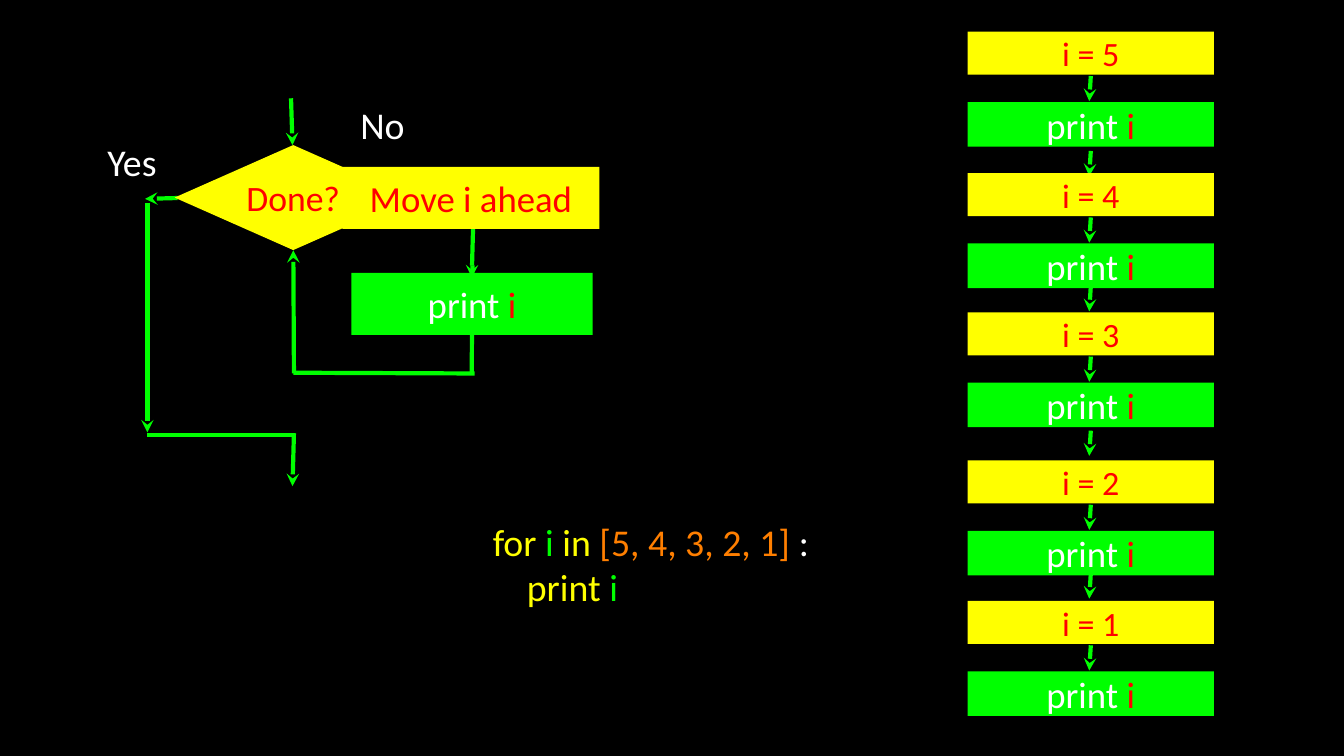
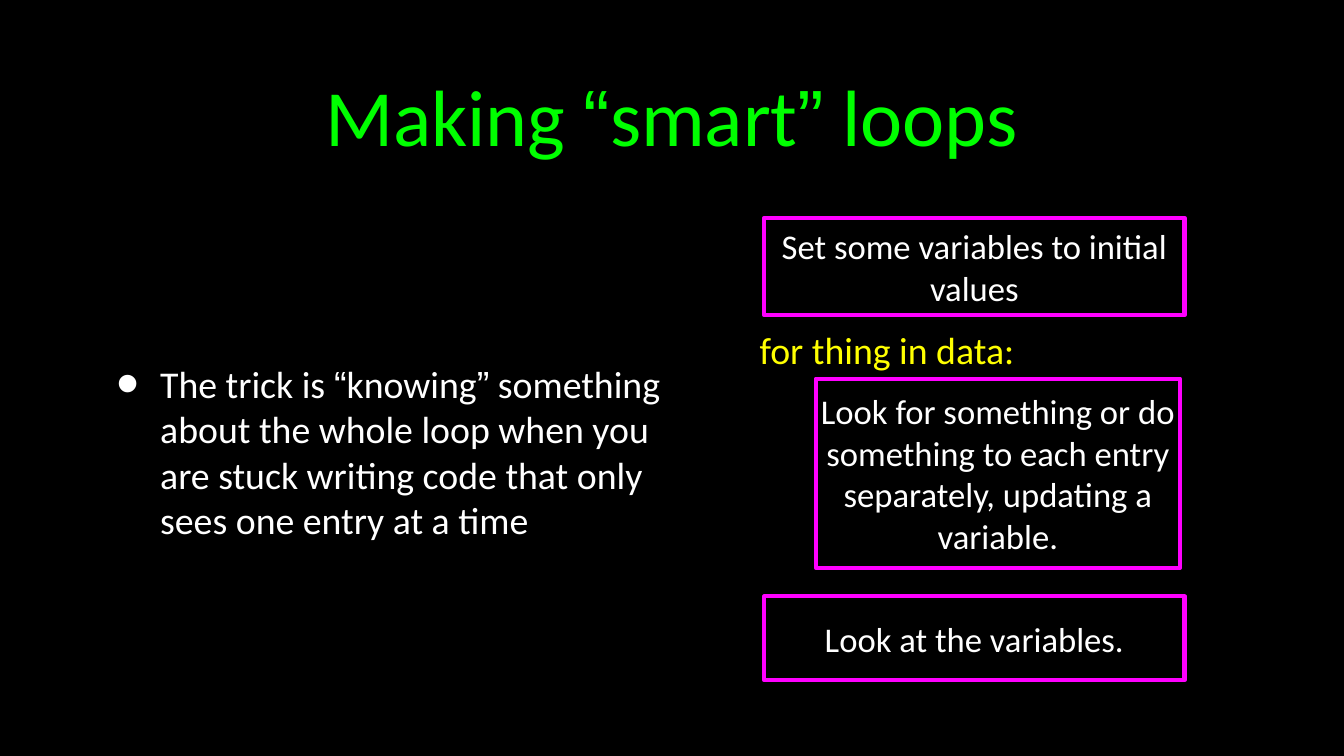
from dataclasses import dataclass

from lxml.etree import SubElement
from pptx import Presentation
from pptx.dml.color import RGBColor
from pptx.enum.shapes import MSO_CONNECTOR, MSO_SHAPE
from pptx.enum.text import MSO_ANCHOR, MSO_AUTO_SIZE, PP_ALIGN
from pptx.oxml.ns import qn
from pptx.util import Pt


@dataclass(frozen=True)
class Theme:
    # Colours
    black: str = "000000"
    white: str = "FFFFFF"
    green: str = "00FF00"
    yellow: str = "FFFF00"
    red: str = "FF0000"
    orange: str = "FF7F00"
    pink: str = "FF00FF"
    # Fonts, type sizes and line width
    font: str = "Calibri"
    quote: str = "Arial"
    title: float = 76
    text: float = 36
    step: float = 35
    done: float = 34
    note: float = 33
    count: float = 32.4
    line: float = 4


T = Theme()
PRINT = [("print ", T.white), ("i", T.red)]


def rgb(code):
    return RGBColor.from_string(code)


def add_runs(par, runs, size, align=PP_ALIGN.CENTER):
    """Each run is (words, colour) or (words, colour, font)."""
    par.alignment = align
    for words, colour, *font in runs:
        run = par.add_run()
        run.text = words
        run.font.size = Pt(size)
        run.font.name = font[0] if font else T.font
        run.font.color.rgb = rgb(colour)


def quoted(before, word, after, colour):
    return [(before, colour), ("“", colour, T.quote), (word, colour),
            ("”", colour, T.quote), (after, colour)]


def set_frame(shape, inset=0):
    frame = shape.text_frame
    frame.word_wrap = True
    frame.auto_size = MSO_AUTO_SIZE.NONE
    frame.vertical_anchor = MSO_ANCHOR.MIDDLE
    frame.margin_left = frame.margin_right = Pt(inset)
    frame.margin_top = frame.margin_bottom = Pt(inset)
    return frame


def add_box(slide, place, runs, size, fill=None, edge=None,
            kind=MSO_SHAPE.RECTANGLE):
    box = slide.shapes.add_shape(kind, *map(Pt, place))
    box.shadow.inherit = False
    if fill:
        box.fill.solid()
        box.fill.fore_color.rgb = rgb(fill)
    else:
        box.fill.background()
    if edge:
        box.line.color.rgb = rgb(edge)
        box.line.width = Pt(T.line)
    else:
        box.line.fill.background()
    add_runs(set_frame(box).paragraphs[0], runs, size)


def add_label(slide, place, *lines, align=PP_ALIGN.CENTER, inset=0):
    """Add a text box with one paragraph for each list of runs."""
    frame = set_frame(slide.shapes.add_textbox(*map(Pt, place)), inset)
    for n, runs in enumerate(lines):
        par = frame.add_paragraph() if n else frame.paragraphs[0]
        add_runs(par, runs, T.text, align)
    return frame.paragraphs


def add_line(slide, ends, tip=True):
    line = slide.shapes.add_connector(MSO_CONNECTOR.STRAIGHT, *map(Pt, ends))
    line.line.color.rgb = rgb(T.green)
    line.line.width = Pt(T.line)
    if tip:
        SubElement(line.line._get_or_add_ln(), qn("a:tailEnd"), type="stealth")
    SubElement(line._element.spPr, qn("a:effectLst"))


def indent(par, left, first=0):
    props = par._p.get_or_add_pPr()
    props.set("marL", str(Pt(left)))
    props.set("indent", str(Pt(first)))
    return props


def add_bullet(par):
    props = indent(par, 59, -41.8)
    par.space_before = Pt(35)
    tint = SubElement(props, qn("a:buClr"))
    SubElement(tint, qn("a:srgbClr"), val=T.white)
    SubElement(props, qn("a:buSzPct"), val="171000")
    SubElement(props, qn("a:buFont"), typeface=T.quote)
    SubElement(props, qn("a:buChar"), char="•")


def draw_flow(slide):
    # Paths through the loop
    for ends in [(277.2, 93.6, 278.6, 138.2), (280, 355.7, 279.4, 238.3),
                 (450.7, 213.8, 449.3, 264.2), (169.2, 188.6, 138.2, 189.4),
                 (140.4, 193, 140.4, 411.8), (280, 412.6, 278.6, 463)]:
        add_line(slide, ends)
    for ends in [(450, 252.7, 449.3, 356.4), (279.4, 355, 452.2, 355.7),
                 (140.4, 414, 278.6, 414)]:
        add_line(slide, ends, tip=False)
    # Test and steps
    add_box(slide, (166.3, 138.2, 226, 100), [("Done?", T.red)], T.done,
            T.yellow, kind=MSO_SHAPE.DIAMOND)
    add_box(slide, (334.8, 260, 229.7, 59), PRINT, T.step, T.green)
    add_box(slide, (326.2, 159, 244.8, 59), [("Move i ahead", T.red)],
            T.step, T.yellow)
    add_label(slide, (96.5, 131.8, 58.3, 43.2), [("Yes", T.white)])
    add_label(slide, (339.8, 97.2, 49, 43.2), [("No", T.white)])


def draw_trace(slide):
    """Draw each pass of the loop: set i, print i, go on."""
    left, wide, drop = 921.6, 234.7, 24
    tops = [30.2, 164.9, 297.4, 438.5, 572.4]
    tips = [167.8, 296.6, 434.2, 570.2]
    for tip in tips + [top + 66.2 for top in tops]:
        add_line(slide, (1039, tip - drop, 1037.5, tip))
    for n, top in enumerate(tops):
        add_box(slide, (left, top, wide, 41), [(f"i = {5 - n}", T.red)],
                T.count, T.yellow)
        add_box(slide, (left, top + 67, wide, 42.5), PRINT, T.step, T.green)


def draw_code(slide):
    head = [("for ", T.yellow), ("i ", T.green), ("in ", T.yellow),
            ("[5, 4, 3, 2, 1] ", T.orange), (":", T.white)]
    body = [("print ", T.yellow), ("i", T.green)]
    pars = add_label(slide, (469.4, 494, 340, 86.4), head, body,
                     align=PP_ALIGN.LEFT)
    indent(pars[1], 32.5)


def draw_smart(slide):
    # Title
    title = slide.shapes.title
    title.left, title.top, title.width, title.height = map(
        Pt, (90.7, 18.7, 1097.3, 180.7))
    add_runs(set_frame(title, 2.9).paragraphs[0],
             quoted("Making ", "smart", " loops", T.green), T.title)
    # Main point
    words = quoted("The trick is ", "knowing",
                   " something about the whole loop when you are stuck "
                   "writing code that only sees one entry at a time", T.white)
    pars = add_label(slide, (90.7, 205.2, 584, 449.3), words,
                     align=PP_ALIGN.LEFT, inset=2.9)
    add_bullet(pars[0])
    # Loop pattern
    for place, note in [
        ((728, 207.4, 400.3, 92.9), "Set some variables to initial values"),
        ((777, 360.7, 347, 180), "Look for something or do something to "
         "each entry separately, updating a variable."),
        ((728, 568, 400.3, 80), "Look at the variables."),
    ]:
        add_box(slide, place, [(note, T.white)], T.note, edge=T.pink)
    add_label(slide, (703.4, 311, 283, 43.2),
              [("for thing in data:", T.yellow)])


def main():
    deck = Presentation()
    deck.slide_width, deck.slide_height = Pt(1280.16), Pt(720)
    back = deck.slide_master.background.fill
    back.solid()
    back.fore_color.rgb = rgb(T.black)
    bare, titled = deck.slide_layouts[6], deck.slide_layouts[5]

    # Slide 1: the loop, its passes and its code
    slide = deck.slides.add_slide(bare)
    draw_flow(slide)
    draw_trace(slide)
    draw_code(slide)

    # Slide 2: smart loops
    draw_smart(deck.slides.add_slide(titled))
    deck.save("out.pptx")


if __name__ == "__main__":
    main()
